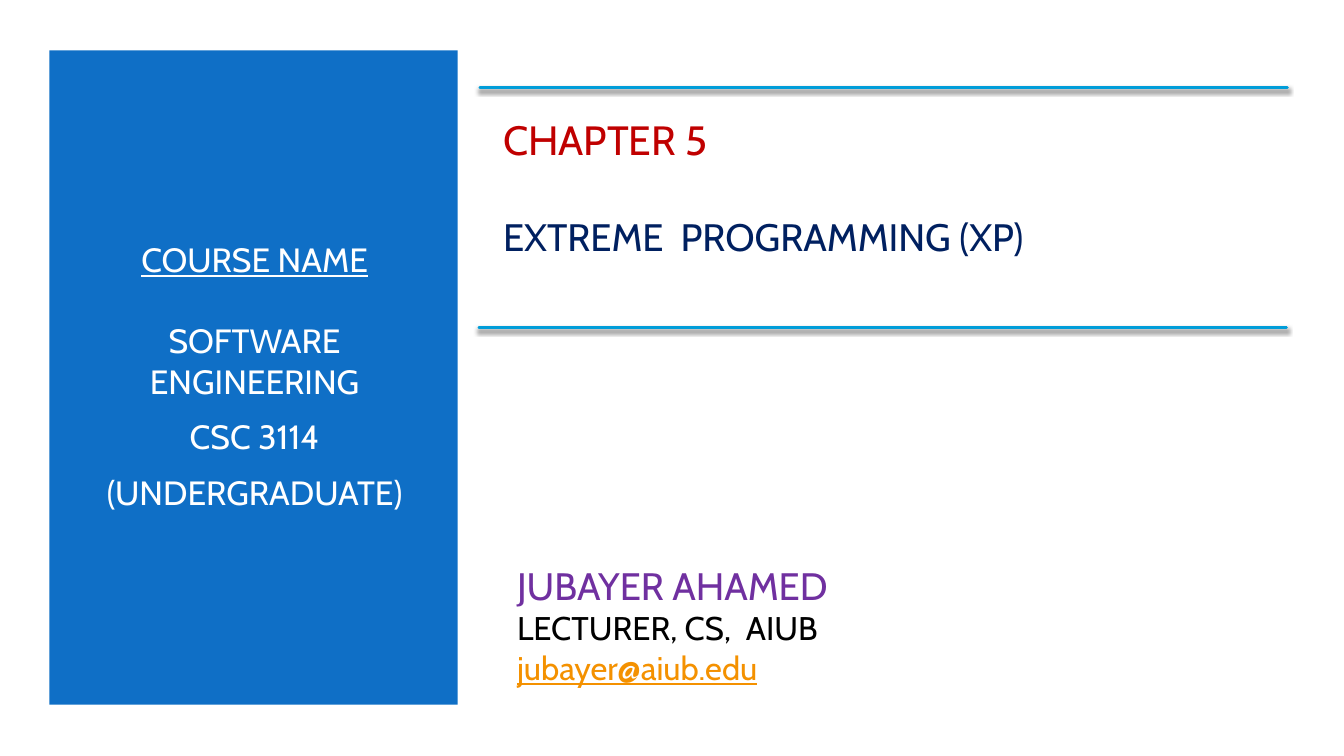
import pptx
import pptx.util
import pptx.dml.color
import pptx.enum.shapes
import pptx.enum.text
import pptx.oxml
import pptx.oxml.ns

FONT = "Cabin"
WIDTH, HEIGHT = 13.33, 7.5

# Content: (text, size, colour, underline, space before)
COURSE = [
    ("COURSE NAME", 24, "FFFFFF", True, 0),
    ("SOFTWARE ENGINEERING", 24, "FFFFFF", False, 29.2),
    ("CSC 3114", 24, "FFFFFF", False, 10.8),
    ("(UNDERGRADUATE)", 24, "FFFFFF", False, 10.8),
]
CHAPTER = [
    ("CHAPTER 5", 29.2, "C00000", False, 0),
    ("EXTREME  PROGRAMMING (XP)", 27.3, "002060", False, 35.5),
]
LECTURER = [
    ("JUBAYER AHAMED", 27.3, "7030A0", False, 0),
    ("LECTURER, CS,  AIUB", 23.4, "000000", False, 0),
    ("jubayer@aiub.edu", 23.4, "F49100", True, 0),
]

# Places: left, top, width, height in inches
PANEL_AT = (0.49, 0.5, 4.05, 6.49)
COURSE_AT = (0.84, 1.1, 3.37, 5.25)
CHAPTER_AT = (4.89, 1.1, 7.85, 1.51)
LECTURER_AT = (5.03, 5.53, 6.66, 1.47)
RULES = [(4.76, 0.87), (4.75, 3.25)]
RULE_LENGTH = 8.01

SHADOW = (
    '<a:effectLst %s><a:outerShdw blurRad="38100" dist="25400" dir="5400000" rotWithShape="0">'
    '<a:srgbClr val="000000"><a:alpha val="55000"/></a:srgbClr></a:outerShdw></a:effectLst>'
    % pptx.oxml.ns.nsdecls("a")
)


def rgb(value):
    return pptx.dml.color.RGBColor.from_string(value)


def inches(values):
    return [pptx.util.Inches(v) for v in values]


def write(tf, lines, align, anchor):
    frame = {"word_wrap": True, "vertical_anchor": anchor,
             "auto_size": pptx.enum.text.MSO_AUTO_SIZE.NONE}
    for name, value in frame.items():
        setattr(tf, name, value)
    for i, (text, size, colour, underline, before) in enumerate(lines):
        p = tf.add_paragraph() if i else tf.paragraphs[0]
        p.alignment = align
        p.space_before = pptx.util.Pt(before)
        r = p.add_run()
        r.text = text
        font = {"name": FONT, "size": pptx.util.Pt(size), "underline": underline}
        for name, value in font.items():
            setattr(r.font, name, value)
        r.font.color.rgb = rgb(colour)


prs = pptx.Presentation()
prs.slide_width, prs.slide_height = inches((WIDTH, HEIGHT))
s = prs.slides.add_slide(prs.slide_layouts[5])
align, anchor = pptx.enum.text.PP_ALIGN, pptx.enum.text.MSO_ANCHOR

# Course panel
panel = s.shapes.add_shape(pptx.enum.shapes.MSO_SHAPE.RECTANGLE, *inches(PANEL_AT))
panel.shadow.inherit = False
panel.fill.solid()
panel.fill.fore_color.rgb = rgb("0F6FC6")
panel.line.fill.background()
course = s.shapes.add_textbox(*inches(COURSE_AT))
write(course.text_frame, COURSE, align.CENTER, anchor.MIDDLE)

# Chapter title
title = s.shapes.title
title.left, title.top, title.width, title.height = inches(CHAPTER_AT)
write(title.text_frame, CHAPTER, align.LEFT, anchor.MIDDLE)

# Lecturer
lecturer = s.shapes.add_textbox(*inches(LECTURER_AT))
write(lecturer.text_frame, LECTURER, align.LEFT, anchor.TOP)

# Rules above and below the title
for x, y in RULES:
    rule = s.shapes.add_connector(pptx.enum.shapes.MSO_CONNECTOR.STRAIGHT,
                                  *inches((x, y, x + RULE_LENGTH, y)))
    rule.line.color.rgb = rgb("009DD9")
    rule.line.width = pptx.util.Pt(2)
    rule.line._get_or_add_ln().set("cap", "rnd")
    rule._element.spPr.append(pptx.oxml.parse_xml(SHADOW))

prs.save("out.pptx")
